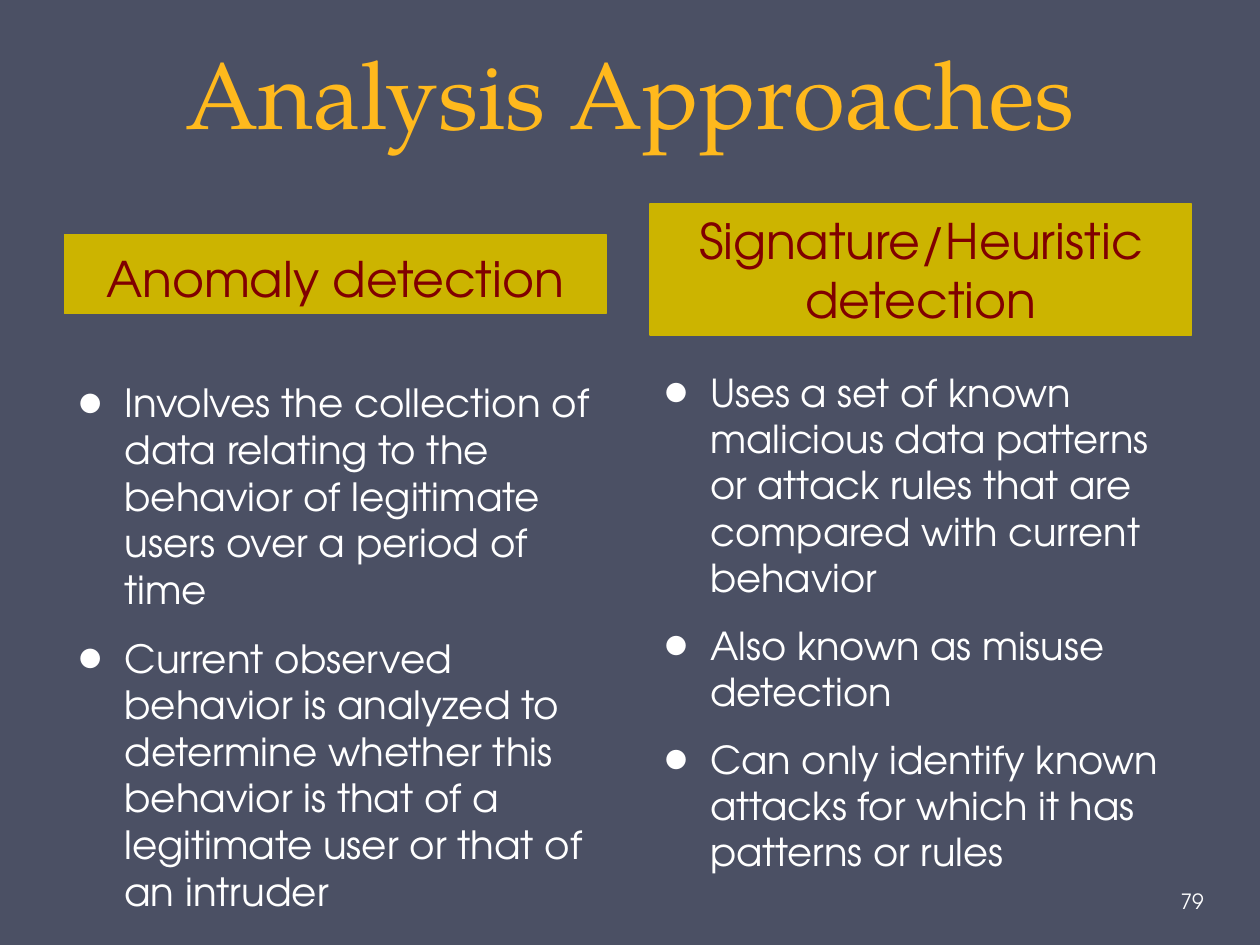
import pptx
import pptx.dml.color
import pptx.enum.shapes
import pptx.enum.text
import pptx.oxml.ns
import pptx.util
from lxml import etree

Inches = pptx.util.Inches
Pt = pptx.util.Pt
ALIGN = pptx.enum.text.PP_ALIGN
ANCHOR = pptx.enum.text.MSO_ANCHOR


def color(hex_string):
    return pptx.dml.color.RGBColor.from_string(hex_string)


class ApproachSlide:
    title_font = "TeX Gyre Pagella"
    body_font = "TeX Gyre Adventor"
    background = "4B5064"
    gold = "FFB91D"
    mustard = "CCB400"
    maroon = "800000"
    white = "FFFFFF"
    indent = Inches(0.38)

    def __init__(self, presentation):
        self.slide = presentation.slides.add_slide(presentation.slide_layouts[6])
        fill = self.slide.background.fill
        fill.solid()
        fill.fore_color.rgb = color(self.background)

    def style(self, paragraph, font_name, size, hex_string, alignment=ALIGN.LEFT):
        paragraph.alignment = alignment
        for run in paragraph.runs:
            run.font.name = font_name
            run.font.size = Pt(size)
            run.font.color.rgb = color(hex_string)

    def text_frame(self, left, top, width, height, anchor=ANCHOR.TOP):
        box = self.slide.shapes.add_textbox(
            Inches(left), Inches(top), Inches(width), Inches(height))
        frame = box.text_frame
        frame.word_wrap = True
        frame.vertical_anchor = anchor
        return frame

    def title(self, text):
        frame = self.text_frame(0.5, 0, 9, 1.23, ANCHOR.BOTTOM)
        frame.text = text
        heading = frame.paragraphs[0]
        heading.line_spacing = Pt(58)
        self.style(heading, self.title_font, 54, self.gold, ALIGN.CENTER)

    def banner(self, text, left, top, width, height, anchor):
        banner = self.slide.shapes.add_shape(
            pptx.enum.shapes.MSO_SHAPE.RECTANGLE,
            Inches(left), Inches(top), Inches(width), Inches(height))
        banner.shadow.inherit = False
        banner.fill.solid()
        banner.fill.fore_color.rgb = color(self.mustard)
        banner.line.color.rgb = color(self.mustard)
        banner.line.width = Pt(0.75)
        frame = banner.text_frame
        frame.word_wrap = True
        frame.vertical_anchor = anchor
        frame.text = text
        self.style(frame.paragraphs[0], self.body_font, 28, self.maroon, ALIGN.CENTER)

    def bullets(self, points, left, top, width, height, size):
        frame = self.text_frame(left, top, width, height)
        frame.text = "\n".join(points)
        for index, point in enumerate(frame.paragraphs):
            if index:
                point.space_before = Pt(4.5)
            point.space_after = Pt(8)
            self.bullet(point)
            self.style(point, self.body_font, size, self.white)

    def bullet(self, paragraph):
        properties = paragraph._p.get_or_add_pPr()
        properties.set("marL", str(self.indent))
        properties.set("indent", str(-self.indent))
        for tag, name, value in (("a:buSzPct", "val", "140000"),
                                 ("a:buFont", "typeface", self.body_font),
                                 ("a:buChar", "char", "•")):
            etree.SubElement(properties, pptx.oxml.ns.qn(tag)).set(name, value)

    def page_number(self, number):
        frame = self.text_frame(9.34, 6.95, 0.61, 0.4, ANCHOR.MIDDLE)
        frame.margin_left = Inches(0.03)
        frame.margin_right = Inches(0.05)
        frame.text = number
        self.style(frame.paragraphs[0], self.body_font, 12, self.white)


def main():
    presentation = pptx.Presentation()
    presentation.slide_width = Inches(10)
    presentation.slide_height = Inches(7.5)

    anomaly_left, signature_left, column_width = 0.51, 5.16, 4.3
    approaches = ApproachSlide(presentation)
    approaches.title("Analysis Approaches")
    approaches.banner("Anomaly detection",
                      anomaly_left, 1.86, column_width, 0.63, ANCHOR.BOTTOM)
    approaches.banner("Signature/Heuristic detection",
                      signature_left, 1.62, column_width, 1.04, ANCHOR.TOP)
    approaches.bullets([
        "Involves the collection of data relating to the behavior of "
        "legitimate users over a period of time",
        "Current observed behavior is analyzed to determine whether this "
        "behavior is that of a legitimate user or that of an intruder",
    ], anomaly_left, 2.96, column_width, 4.19, 22.2)
    approaches.bullets([
        "Uses a set of known malicious data patterns or attack rules that "
        "are compared with current behavior",
        "Also known as misuse detection",
        "Can only identify known attacks for which it has patterns or rules",
    ], signature_left, 2.88, column_width, 3.77, 22)
    approaches.page_number("79")
    presentation.save("out.pptx")


if __name__ == "__main__":
    main()
